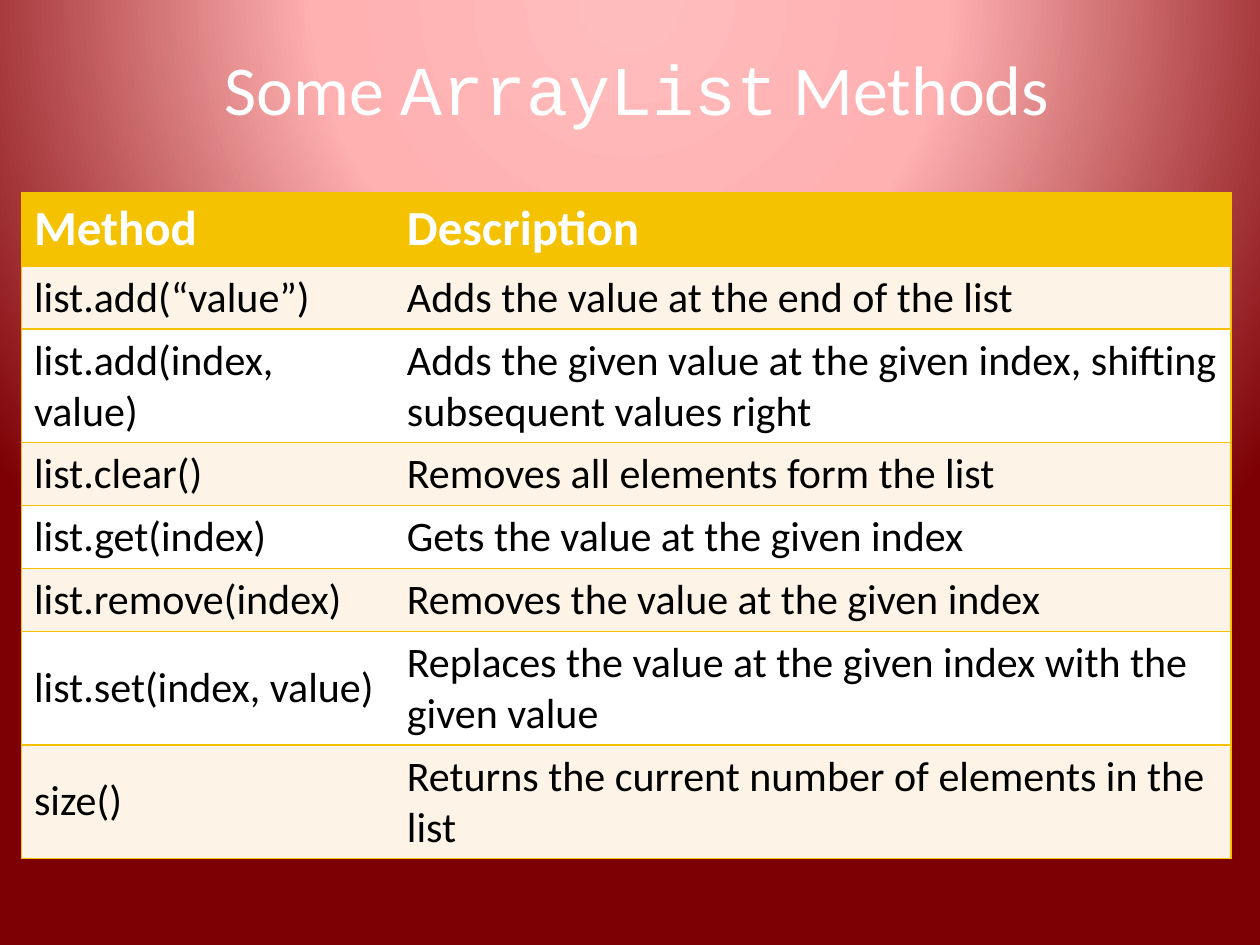
from dataclasses import dataclass

from lxml import etree
from pptx import Presentation
from pptx.dml.color import RGBColor
from pptx.enum.text import MSO_ANCHOR, PP_ALIGN
from pptx.oxml import parse_xml
from pptx.oxml.ns import nsdecls, qn
from pptx.util import Inches, Pt

MIDDLE = MSO_ANCHOR.MIDDLE
TOP = MSO_ANCHOR.TOP
CENTER = PP_ALIGN.CENTER


@dataclass(frozen=True)
class Theme:
    sans: str = "Calibri"
    mono: str = "Courier New"
    white: str = "FFFFFF"
    black: str = "000000"
    gold: str = "F5C201"
    cream: str = "FDF4E7"
    glow: tuple = ((0, "FFBCBD"), (40, "FFB0B1"), (100, "7C0004"))
    title: int = 40
    head: int = 28
    body: int = 24


class Deck:
    def __init__(self, theme):
        self.theme = theme
        self.file = Presentation()
        self.file.slide_width = Inches(10)
        self.file.slide_height = Inches(7.5)
        self.slide = self.file.slides.add_slide(self.file.slide_layouts[6])

    def style(self, font, size, color, bold=False):
        font.name = self.theme.sans
        font.size = Pt(size)
        font.bold = bold
        font.color.rgb = RGBColor.from_string(color)

    def backdrop(self):
        self.slide.background.fill.gradient()
        stops = "".join(
            f'<a:gs pos="{pos * 1000}"><a:srgbClr val="{color}"/></a:gs>'
            for pos, color in self.theme.glow
        )
        old = self.slide.element.find(".//" + qn("a:gradFill"))
        old.getparent().replace(old, parse_xml(
            f'<a:gradFill {nsdecls("a")} rotWithShape="1"><a:gsLst>{stops}</a:gsLst>'
            '<a:path path="circle"><a:fillToRect l="50000" t="-80000" '
            'r="50000" b="180000"/></a:path></a:gradFill>'
        ))

    def title(self, parts, left, top, width, height):
        box = self.slide.shapes.add_textbox(
            Inches(left), Inches(top), Inches(width), Inches(height))
        box.text_frame.word_wrap = True
        para = box.text_frame.paragraphs[0]
        para.alignment = CENTER
        self.style(para.font, self.theme.title, self.theme.white)
        for text, name in parts:
            run = para.add_run()
            run.text = text
            run.font.name = name

    def border(self, cell, sides):
        props = cell._tc.get_or_add_tcPr()
        for side in "LRTB":
            line = etree.SubElement(props, qn(f"a:ln{side}"), w=str(Pt(1)))
            if side in sides:
                fill = etree.SubElement(line, qn("a:solidFill"))
                etree.SubElement(fill, qn("a:srgbClr"), val=self.theme.gold)
            else:
                etree.SubElement(line, qn("a:noFill"))

    def cell(self, cell, text, fill, sides, head):
        theme = self.theme
        self.border(cell, sides)
        cell.fill.solid()
        cell.fill.fore_color.rgb = RGBColor.from_string(fill)
        cell.vertical_anchor = TOP if head else MIDDLE
        cell.text = text
        para = cell.text_frame.paragraphs[0]
        if head:
            self.style(para.font, theme.head, theme.white, True)
        else:
            para.space_after = Pt(5)
            self.style(para.font, theme.body, theme.black)

    def table(self, rows, widths, heights, left, top):
        theme = self.theme
        grid = self.slide.shapes.add_table(
            len(rows), len(widths), Inches(left), Inches(top),
            Inches(sum(widths)), Inches(sum(heights))).table
        grid.horz_banding = False
        for col, width in zip(grid.columns, widths):
            col.width = Inches(width)
        for i, (row, height) in enumerate(zip(rows, heights)):
            grid.rows[i].height = Inches(height)
            band = theme.cream if i % 2 else theme.white
            fill = band if i else theme.gold
            for j, text in enumerate(row):
                self.cell(grid.cell(i, j), text, fill, "TB" + "LR"[j], i == 0)


ROWS = [
    ("Method", "Description"),
    ("list.add(“value”)", "Adds the value at the end of the list"),
    ("list.add(index, value)",
     "Adds the given value at the given index, shifting subsequent values right"),
    ("list.clear()", "Removes all elements form the list"),
    ("list.get(index)", "Gets the value at the given index"),
    ("list.remove(index)", "Removes the value at the given index"),
    ("list.set(index, value)",
     "Replaces the value at the given index with the given value"),
    ("size()", "Returns the current number of elements in the list"),
]
ONE, TWO = 0.5, 0.9


def main():
    theme = Theme()
    deck = Deck(theme)
    deck.backdrop()
    deck.title(
        [("Some ", theme.sans), ("ArrayList", theme.mono), (" Methods", theme.sans)],
        0.79, 0.31, 8.53, 0.77)
    deck.table(ROWS, [2.96, 6.64], [0.58, ONE, TWO, ONE, ONE, ONE, TWO, TWO],
               0.17, 1.53)
    deck.file.save("out.pptx")


if __name__ == "__main__":
    main()
